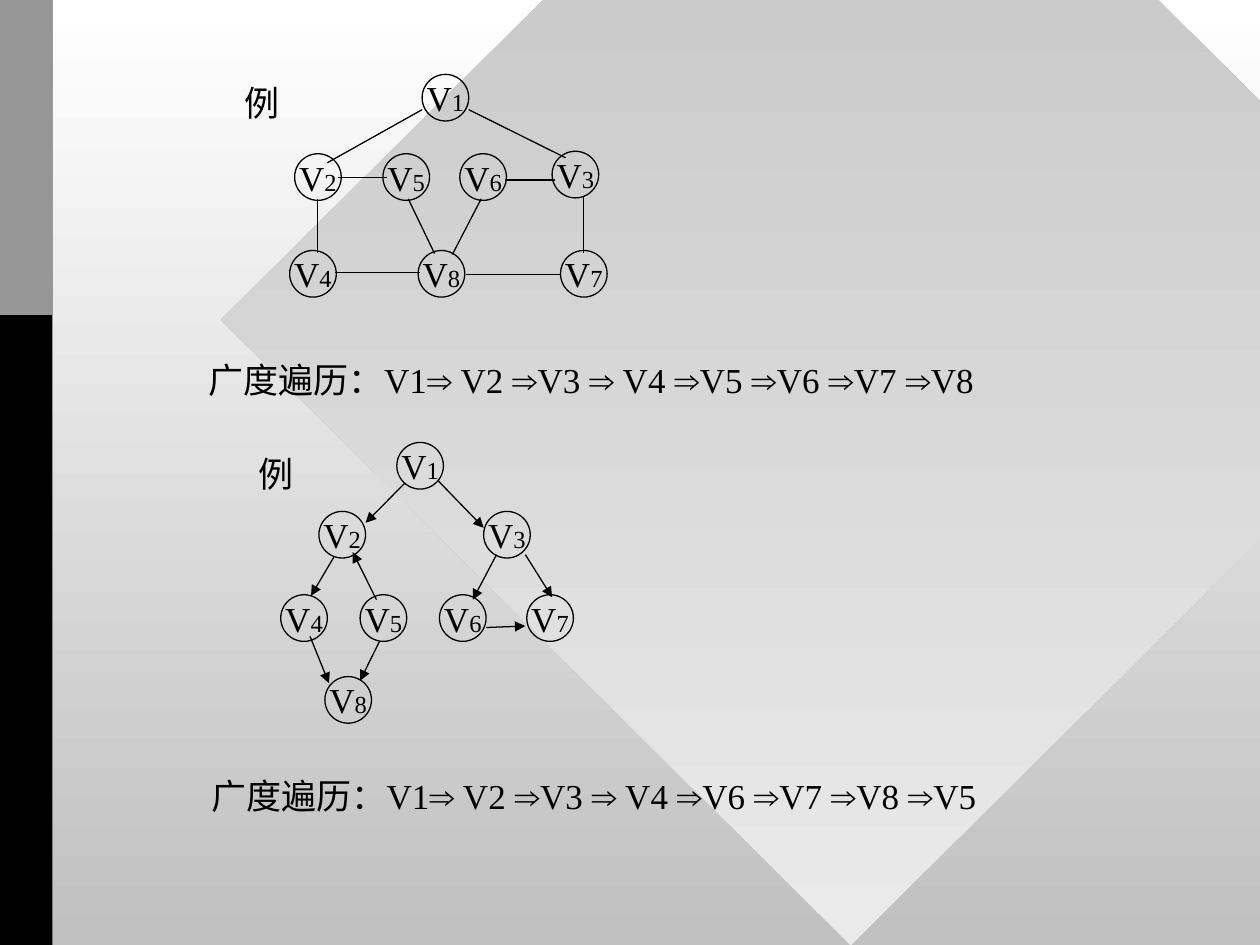
from lxml.etree import SubElement
from pptx import Presentation
from pptx.dml.color import RGBColor
from pptx.enum.shapes import MSO_CONNECTOR as CONN, MSO_SHAPE as SHAPE
from pptx.enum.text import MSO_ANCHOR as ANCHOR, MSO_AUTO_SIZE as AUTO, PP_ALIGN as ALIGN
from pptx.oxml.ns import qn
from pptx.util import Cm, Pt

COLORS = {
    "ink": "010000", "black": "000000", "gray": "969696",
    "white": "FFFFFF", "silver": "C0C0C0", "pale": "EAEAEA",
}
SERIF, SANS = "Times New Roman", "Arial"
NODE = 0.94  # node diameter, cm

# Node number -> left, top (cm); edges as start and end points
UNDIRECTED = {
    "label": (4.67, 1.52),
    "nodes": {1: (8.51, 1.5), 2: (5.94, 3.1), 4: (5.84, 5.05), 5: (7.72, 3.1),
              3: (11.13, 3.05), 7: (11.3, 5.05), 6: (9.27, 3.1), 8: (8.43, 5.05)},
    "edges": [(8.51, 2.21, 6.6, 3.28), (9.45, 2.21, 11.4, 3.18),
              (6.81, 3.58, 7.8, 3.58), (10.19, 3.63, 11.18, 3.63),
              (6.4, 4.01, 6.4, 5.11), (6.76, 5.49, 8.46, 5.49),
              (9.4, 5.54, 11.3, 5.54), (11.76, 3.96, 11.76, 5.11),
              (8.23, 4.01, 8.76, 5.11), (9.7, 4.01, 9.12, 5.13)],
    "arrows": False,
}
DIRECTED = {
    "label": (4.95, 8.99),
    "nodes": {1: (8, 8.92), 2: (6.43, 10.31), 4: (5.66, 11.99), 5: (7.26, 11.99),
              3: (9.75, 10.31), 7: (10.62, 11.99), 6: (8.86, 11.99), 8: (6.55, 13.64)},
    "edges": [(8.15, 9.75, 7.37, 10.54), (8.84, 9.7, 9.75, 10.64),
              (6.73, 11.23, 6.27, 12.01), (7.59, 12.09, 7.11, 11.13),
              (6.25, 12.83, 6.63, 13.77), (7.65, 12.93, 7.26, 13.72),
              (10.01, 11.18, 9.53, 12.09), (9.8, 12.65, 10.59, 12.62),
              (10.59, 11.18, 11.13, 12.04)],
    "arrows": True,
}


def rgb(name):
    return RGBColor.from_string(COLORS[name])


def fill_gradient(fill, top, bottom):
    fill.gradient()
    fill.gradient_angle = 270
    for stop, name in zip(fill.gradient_stops, (top, bottom)):
        stop.color.rgb = rgb(name)


def add_run(p, text, size=20, font=SERIF):
    r = p.add_run()
    r.text = text
    r.font.size = Pt(size)
    r.font.name = font
    r.font.color.rgb = rgb("ink")


def add_panel(shapes, kind, left, top, width, height, color=None):
    sp = shapes.add_shape(kind, Cm(left), Cm(top), Cm(width), Cm(height))
    sp.shadow.inherit = False
    sp.line.fill.background()
    if color:
        sp.fill.solid()
        sp.fill.fore_color.rgb = rgb(color)
    return sp


def add_text(shapes, left, top, width):
    tf = shapes.add_textbox(Cm(left), Cm(top), Cm(width), Cm(1.11)).text_frame
    tf.word_wrap = False
    tf.auto_size = AUTO.SHAPE_TO_FIT_TEXT
    return tf


def add_label(shapes, left, top):
    tf = add_text(shapes, left, top, 1.22)
    tf.vertical_anchor = ANCHOR.MIDDLE
    p = tf.paragraphs[0]
    p.alignment = ALIGN.CENTER
    add_run(p, "例")


def add_node(shapes, number, left, top):
    sp = shapes.add_shape(SHAPE.OVAL, Cm(left), Cm(top), Cm(NODE), Cm(NODE))
    sp.shadow.inherit = False
    sp.fill.background()
    sp.line.color.rgb = rgb("ink")
    sp.line.width = Pt(0.75)
    tf = sp.text_frame
    tf.word_wrap = False
    tf.vertical_anchor = ANCHOR.MIDDLE
    p = tf.paragraphs[0]
    p.alignment = ALIGN.CENTER
    add_run(p, "V")
    add_run(p, str(number), 14)


def add_edge(shapes, points, arrow):
    line = shapes.add_connector(CONN.STRAIGHT, *(Cm(v) for v in points))
    line.line.color.rgb = rgb("ink")
    line.line.width = Pt(0.75)
    if arrow:
        SubElement(line.line._get_or_add_ln(), qn("a:tailEnd"), type="triangle")
    SubElement(line._element.spPr, qn("a:effectLst"))


def add_graph(slide, graph):
    shapes = slide.shapes.add_group_shape().shapes
    add_label(shapes, *graph["label"])
    for number, (left, top) in graph["nodes"].items():
        add_node(shapes, number, left, top)
    for points in graph["edges"]:
        add_edge(shapes, points, graph["arrows"])


def add_traversal(slide, left, top, steps):
    p = add_text(slide.shapes, left, top, 16.48).paragraphs[0]
    add_run(p, "广度遍历：")
    for i, step in enumerate(steps.split("⇒")):
        if i:
            add_run(p, "⇒", font=SANS)
        add_run(p, step)


def main():
    prs = Presentation()
    prs.slide_width, prs.slide_height = Cm(25.4), Cm(19.05)
    slide = prs.slides.add_slide(prs.slide_layouts[6])

    # Backdrop: gradient, large diamond, side bar
    fill_gradient(slide.background.fill, "white", "silver")
    diamond = add_panel(slide.shapes, SHAPE.DIAMOND, 4.45, -6.15, 25.4, 25.2)
    fill_gradient(diamond.fill, "silver", "pale")
    add_panel(slide.shapes, SHAPE.RECTANGLE, 0, 0, 1.06, 19.05, "black")
    add_panel(slide.shapes, SHAPE.RECTANGLE, 0, 0, 1.06, 6.35, "gray")

    # Each graph with its breadth-first order
    add_graph(slide, UNDIRECTED)
    add_traversal(slide, 3.96, 7.11, "V1⇒ V2 ⇒V3 ⇒ V4 ⇒V5 ⇒V6 ⇒V7 ⇒V8")
    add_graph(slide, DIRECTED)
    add_traversal(slide, 4.01, 15.49, "V1⇒ V2 ⇒V3 ⇒ V4 ⇒V6 ⇒V7 ⇒V8 ⇒V5")

    prs.save("out.pptx")


if __name__ == "__main__":
    main()
